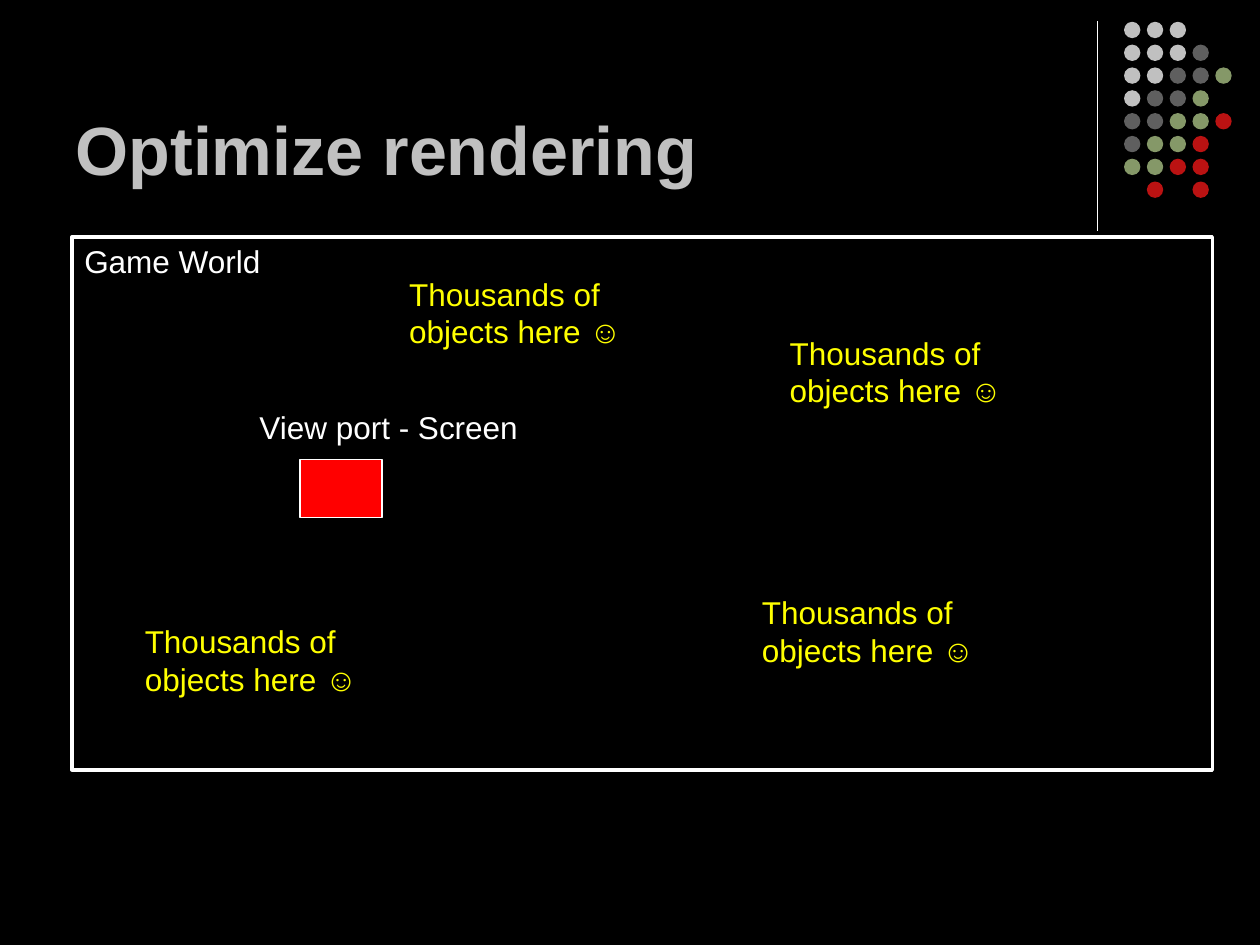
import pptx
import pptx.dml.color
import pptx.enum.shapes
import pptx.enum.text
import pptx.oxml.ns
import pptx.util
from lxml import etree
from pptx.util import Cm

COLORS = {
    "black": "000000",
    "white": "FFFFFF",
    "silver": "C0C0C0",
    "gray": "5F5F5F",
    "green": "859868",
    "crimson": "BA1212",
    "red": "FF0000",
    "yellow": "FFFF00",
}
DOT_COLORS = {"s": "silver", "g": "gray", "o": "green", "c": "crimson"}
DOT_ROWS = ["sss", "sssg", "ssggo", "sggo", "ggooc", "gooc", "oocc", " c c"]
DOT_LEFT, DOT_TOP, DOT_PITCH, DOT_SIZE = 22.66, 0.44, 0.46, 0.33

OBJECTS_TEXT = "Thousands of objects here ☺"
OBJECTS_POSITIONS = [(15.67, 6.6), (2.67, 12.42), (8, 5.41), (15.11, 11.84)]


def color(name):
    return pptx.dml.color.RGBColor.from_string(COLORS[name])


def format_text(text_frame, size, color_name, bold=False):
    text_frame.word_wrap = True
    text_frame.auto_size = pptx.enum.text.MSO_AUTO_SIZE.NONE
    for paragraph in text_frame.paragraphs:
        paragraph.alignment = pptx.enum.text.PP_ALIGN.LEFT
        for run in paragraph.runs:
            run.font.name = "Arial"
            run.font.size = pptx.util.Pt(size)
            run.font.bold = bold
            run.font.color.rgb = color(color_name)


def set_title(slide, text):
    title = slide.shapes.title
    title.left, title.top = Cm(1.27), Cm(0.33)
    title.width, title.height = Cm(20.96), Cm(3.61)
    title.text_frame.text = text
    title.text_frame.vertical_anchor = pptx.enum.text.MSO_ANCHOR.BOTTOM
    format_text(title.text_frame, 39, "silver", bold=True)


def add_label(slide, text, left, top, width, height, color_name):
    label = slide.shapes.add_textbox(Cm(left), Cm(top), Cm(width), Cm(height))
    label.text_frame.text = text
    label.text_frame.paragraphs[0].space_before = pptx.util.Pt(11.2)
    format_text(label.text_frame, 18, color_name)


def add_figure(slide, kind, left, top, width, height, fill=None, line_width=None):
    shape = slide.shapes.add_shape(kind, Cm(left), Cm(top), Cm(width), Cm(height))
    shape.shadow.inherit = False
    if fill:
        shape.fill.solid()
        shape.fill.fore_color.rgb = color(fill)
    else:
        shape.fill.background()
    if line_width:
        shape.line.color.rgb = color("white")
        shape.line.width = pptx.util.Pt(line_width)
    else:
        shape.line.fill.background()


def add_divider(slide, x, top, bottom):
    divider = slide.shapes.add_connector(
        pptx.enum.shapes.MSO_CONNECTOR.STRAIGHT, Cm(x), Cm(top), Cm(x), Cm(bottom)
    )
    divider.line.color.rgb = color("white")
    divider.line.width = pptx.util.Pt(0.75)
    properties = divider._element.spPr
    etree.SubElement(properties, pptx.oxml.ns.qn("a:effectLst"))


def add_dots(slide):
    for row, codes in enumerate(DOT_ROWS):
        for column, code in enumerate(codes):
            if code in DOT_COLORS:
                add_figure(
                    slide,
                    pptx.enum.shapes.MSO_SHAPE.OVAL,
                    DOT_LEFT + column * DOT_PITCH,
                    DOT_TOP + row * DOT_PITCH,
                    DOT_SIZE,
                    DOT_SIZE,
                    fill=DOT_COLORS[code],
                )


def main():
    presentation = pptx.Presentation()
    presentation.slide_width, presentation.slide_height = Cm(25.4), Cm(19.05)
    slide = presentation.slides.add_slide(presentation.slide_layouts[5])
    slide.background.fill.solid()
    slide.background.fill.fore_color.rgb = color("black")

    add_divider(slide, 22.12, 0.43, 4.65)
    add_dots(slide)
    set_title(slide, "Optimize rendering")

    rectangle = pptx.enum.shapes.MSO_SHAPE.RECTANGLE
    add_figure(slide, rectangle, 1.45, 4.78, 22.99, 10.74, line_width=2)
    add_figure(slide, rectangle, 6.05, 9.27, 1.65, 1.17, fill="red", line_width=0.75)

    add_label(slide, "Game World", 1.45, 4.75, 4.17, 1.02, "white")
    add_label(slide, "View port - Screen", 4.98, 8.1, 6.5, 1.02, "white")
    for left, top in OBJECTS_POSITIONS:
        add_label(slide, OBJECTS_TEXT, left, top, 6.5, 1.78, "yellow")

    presentation.save("out.pptx")


if __name__ == "__main__":
    main()
